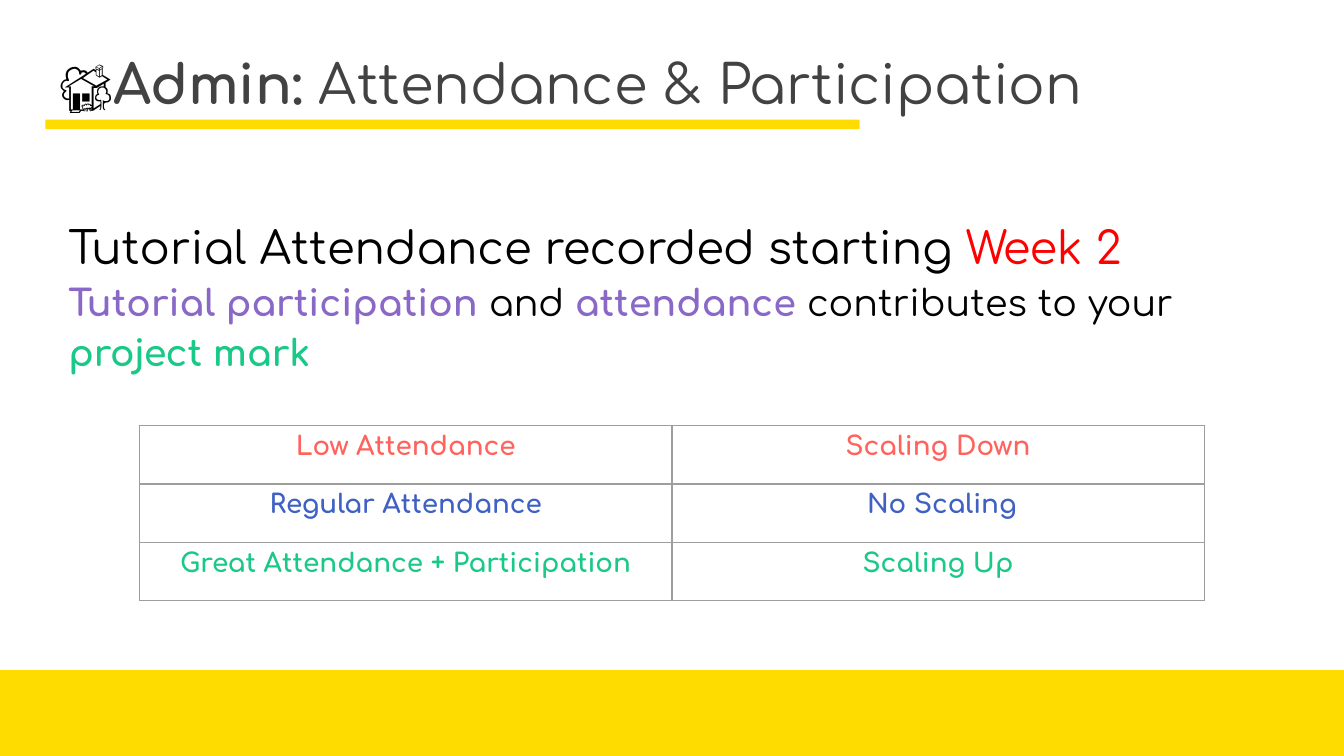
from dataclasses import dataclass

import pptx
import pptx.dml.color
import pptx.enum.shapes
import pptx.enum.text
import pptx.oxml
import pptx.oxml.ns
import pptx.util
from pptx.util import Cm

FONT = "Comfortaa"
COLORS = {
    "yellow": "FFDC00",
    "heading": "424242",
    "black": "000000",
    "alert": "FF0000",
    "purple": "8A68C8",
    "green": "1AC987",
    "coral": "FF635D",
    "blue": "3F61C4",
    "border": "9E9E9E",
}
ROW_HEIGHT = 1.1
COLUMN_WIDTH = 10.06


@dataclass
class Span:
    text: str
    color: str
    bold: bool = False
    font: str | None = None
    size: float | None = None


@dataclass
class ScalingRule:
    attendance: str
    effect: str
    color: str


TITLE = [
    Span("🏡", "black", font="Arial", size=28),
    Span("Admin: ", "heading", bold=True),
    Span("Attendance & Participation", "heading"),
]
RECORDING = [
    Span("Tutorial Attendance recorded starting ", "black"),
    Span("Week 2", "alert"),
]
CONTRIBUTION = [
    Span("Tutorial participation ", "purple", bold=True),
    Span("and ", "black"),
    Span("attendance ", "purple", bold=True),
    Span("contributes to your ", "black"),
    Span("project mark", "green", bold=True),
]
SCALING_RULES = [
    ScalingRule("Low Attendance", "Scaling Down", "coral"),
    ScalingRule("Regular Attendance", " No Scaling", "blue"),
    ScalingRule("Great Attendance + Participation", "Scaling Up", "green"),
]


def rgb(name: str) -> pptx.dml.color.RGBColor:
    return pptx.dml.color.RGBColor.from_string(COLORS[name])


def add_bar(page, left: float, top: float, width: float, height: float) -> None:
    bar = page.shapes.add_shape(
        pptx.enum.shapes.MSO_SHAPE.RECTANGLE, Cm(left), Cm(top), Cm(width), Cm(height)
    )
    bar.shadow.inherit = False
    bar.fill.solid()
    bar.fill.fore_color.rgb = rgb("yellow")
    bar.line.fill.background()


def place(box, left: float, top: float, width: float, height: float, anchor) -> None:
    """Move a placeholder and give its text frame even insets."""
    box.left, box.top, box.width, box.height = Cm(left), Cm(top), Cm(width), Cm(height)
    frame = box.text_frame
    frame.word_wrap = True
    frame.auto_size = pptx.enum.text.MSO_AUTO_SIZE.NONE
    frame.vertical_anchor = anchor
    frame.margin_left = frame.margin_right = Cm(0.25)
    frame.margin_top = frame.margin_bottom = Cm(0.25)


def write_para(para, spans: list[Span], size: float, spacing: float = 1.0) -> None:
    """Fill a left-aligned paragraph without bullet or indent."""
    para.alignment = pptx.enum.text.PP_ALIGN.LEFT
    para.line_spacing = spacing
    para.space_before = pptx.util.Pt(0)
    properties = para._p.get_or_add_pPr()
    properties.set("marL", "0")
    properties.set("indent", "0")
    properties.append(
        pptx.oxml.parse_xml(f"<a:buNone {pptx.oxml.ns.nsdecls('a')}/>")
    )
    para.font.name = FONT
    para.font.size = pptx.util.Pt(size)
    for span in spans:
        run = para.add_run()
        run.text = span.text
        run.font.color.rgb = rgb(span.color)
        run.font.bold = span.bold
        if span.font:
            run.font.name = span.font
        if span.size:
            run.font.size = pptx.util.Pt(span.size)


def add_borders(cell) -> None:
    properties = cell._tc.get_or_add_tcPr()
    for side in ("lnL", "lnR", "lnT", "lnB"):
        properties.append(
            pptx.oxml.parse_xml(
                f'<a:{side} {pptx.oxml.ns.nsdecls("a")} w="{pptx.util.Pt(0.75)}">'
                f'<a:solidFill><a:srgbClr val="{COLORS["border"]}"/></a:solidFill>'
                f"</a:{side}>"
            )
        )


def write_cell(cell, text: str, color: str) -> None:
    add_borders(cell)
    cell.fill.background()
    para = cell.text_frame.paragraphs[0]
    para.text = text
    para.alignment = pptx.enum.text.PP_ALIGN.CENTER
    para.font.name = FONT
    para.font.size = pptx.util.Pt(14)
    para.font.bold = True
    para.font.color.rgb = rgb(color)


def add_scaling_table(page, left: float, top: float, rules: list[ScalingRule]) -> None:
    table = page.shapes.add_table(
        len(rules), 2, Cm(left), Cm(top),
        Cm(2 * COLUMN_WIDTH), Cm(len(rules) * ROW_HEIGHT),
    ).table
    table.first_row = False
    table.horz_banding = False
    for row, rule in enumerate(rules):
        write_cell(table.cell(row, 0), rule.attendance, rule.color)
        write_cell(table.cell(row, 1), rule.effect, rule.color)


def main() -> None:
    deck = pptx.Presentation()
    deck.slide_width, deck.slide_height = Cm(25.4), Cm(14.29)
    page = deck.slides.add_slide(deck.slide_layouts[1])
    anchors = pptx.enum.text.MSO_ANCHOR

    title = page.shapes.title
    place(title, 0.86, 0.41, 23.67, 2.03, anchors.BOTTOM)
    write_para(title.text_frame.paragraphs[0], TITLE, 29)

    body = page.placeholders[1]
    place(body, 1.04, 3.4, 23.95, 9.04, anchors.TOP)
    write_para(body.text_frame.paragraphs[0], RECORDING, 24, 1.5)
    write_para(body.text_frame.add_paragraph(), CONTRIBUTION, 19.5, 1.15)

    add_bar(page, 0, 12.67, 25.4, 1.62)
    add_bar(page, 0.86, 2.26, 15.39, 0.18)
    add_scaling_table(page, 2.64, 8.05, SCALING_RULES)

    deck.save("out.pptx")


if __name__ == "__main__":
    main()
